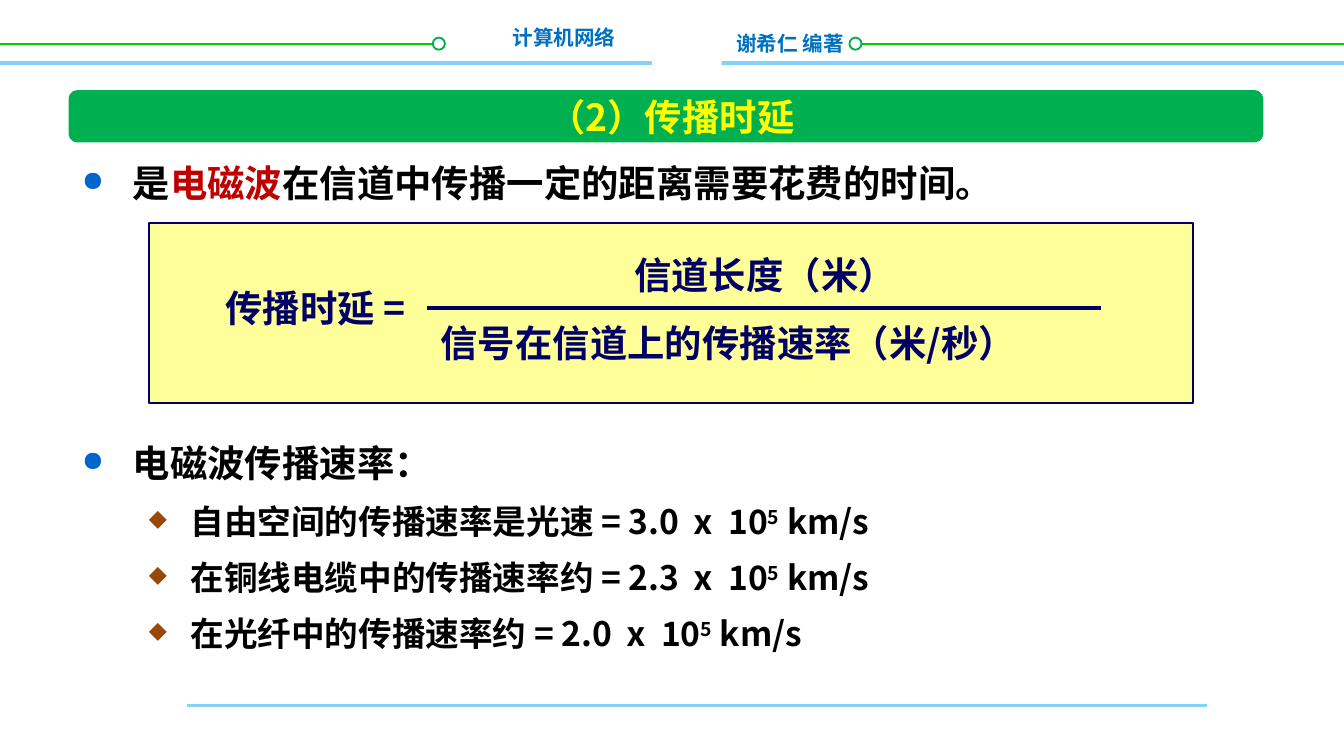
from dataclasses import dataclass

import pptx
import pptx.dml.color
import pptx.enum.shapes
import pptx.enum.text
import pptx.oxml.ns
import pptx.util
from lxml import etree

Inches, Pt = pptx.util.Inches, pptx.util.Pt
SHAPE = pptx.enum.shapes.MSO_SHAPE
ALIGN = pptx.enum.text.PP_ALIGN
ANCHOR = pptx.enum.text.MSO_ANCHOR
qn = pptx.oxml.ns.qn

FONT = "Noto Sans CJK SC"
BLACK, WHITE, NAVY, SKY = "000000", "FFFFFF", "000066", "85D1F7"
BLUE, GREEN, LIME = "0070C0", "00B050", "00CC00"
LINE_PITCH = 30
FORMULA_LINES = 4


@dataclass
class Run:
    text: str
    color: str = BLACK
    raised: bool = False


@dataclass
class Level:
    size: float
    margin: float
    hanging: float
    bullet: str
    bullet_color: str
    bullet_percent: int


@dataclass
class Bullet:
    level: Level
    runs: list[Run]
    space_before: float = 0


@dataclass
class Label:
    text: str
    box: tuple[float, float, float, float]
    size: float
    color: str
    align: ALIGN = ALIGN.LEFT
    wrap: bool = False
    anchor: ANCHOR = ANCHOR.TOP


@dataclass
class Rule:
    x1: float
    x2: float
    y: float
    color: str
    width: float


POINT = Level(20, 0.38, 0.38, "●", "0066CC", 75)
SUBPOINT = Level(18, 0.81, 0.31, "◆", "984807", 70)


def rgb(color: str) -> pptx.dml.color.RGBColor:
    return pptx.dml.color.RGBColor.from_string(color)


def style_run(r, size: float, color: str) -> None:
    r.font.size, r.font.bold, r.font.name = Pt(size), True, FONT
    r.font.color.rgb = rgb(color)
    etree.SubElement(r.font._element, qn("a:ea"), typeface=FONT)


def add_rule(s, rule: Rule) -> None:
    y = Inches(rule.y)
    line = s.shapes.add_connector(pptx.enum.shapes.MSO_CONNECTOR.STRAIGHT,
                                  Inches(rule.x1), y, Inches(rule.x2), y)
    line.line.color.rgb, line.line.width = rgb(rule.color), Pt(rule.width)
    etree.SubElement(line._element.spPr, qn("a:effectLst"))


def add_shape(s, kind, box: tuple, fill: str, outline: str | None = None):
    sp = s.shapes.add_shape(kind, *map(Inches, box))
    sp.shadow.inherit = False
    sp.fill.solid()
    sp.fill.fore_color.rgb = rgb(fill)
    if outline:
        sp.line.color.rgb, sp.line.width = rgb(outline), Pt(1)
    else:
        sp.line.fill.background()
    return sp


def add_label(s, label: Label) -> None:
    tf = s.shapes.add_textbox(*map(Inches, label.box)).text_frame
    tf.word_wrap, tf.vertical_anchor = label.wrap, label.anchor
    p = tf.paragraphs[0]
    p.text, p.alignment = label.text, label.align
    style_run(p.runs[0], label.size, label.color)


def add_bullets(s, box: tuple, bullets: list[Bullet]) -> None:
    tf = s.shapes.add_textbox(*map(Inches, box)).text_frame
    tf.word_wrap = True
    for i, bullet in enumerate(bullets):
        level = bullet.level
        p = tf.add_paragraph() if i else tf.paragraphs[0]
        p.line_spacing, p.space_before = Pt(LINE_PITCH), Pt(bullet.space_before)
        p.level = int(level is SUBPOINT)
        pPr = p._p.get_or_add_pPr()
        pPr.set("marL", str(Inches(level.margin)))
        pPr.set("indent", str(-Inches(level.hanging)))
        color = etree.SubElement(pPr, qn("a:buClr"))
        etree.SubElement(color, qn("a:srgbClr"), val=level.bullet_color)
        etree.SubElement(pPr, qn("a:buSzPct"), val=str(level.bullet_percent * 1000))
        etree.SubElement(pPr, qn("a:buChar"), char=level.bullet)
        for run in bullet.runs:
            r = p.add_run()
            r.text = run.text
            style_run(r, level.size, run.color)
            if run.raised:
                r.font._element.set("baseline", "30000")


def add_frame(s) -> None:
    """Header and footer decoration with the course name and author."""
    for x1, x2, dot_x in ((0, 3.24, 3.22), (6.32, 10, 6.32)):
        add_rule(s, Rule(x1, x2, 0.33, LIME, 1))
        add_shape(s, SHAPE.OVAL, (dot_x, 0.28, 0.09, 0.09), WHITE, GREEN)
    add_label(s, Label("谢希仁 编著", (5.38, 0.18, 1.16, 0.29), 11, BLUE, wrap=True))
    add_label(s, Label("计算机网络", (3.71, 0.14, 0.97, 0.29), 11, BLUE, ALIGN.RIGHT))
    add_rule(s, Rule(1.39, 8.98, 5.25, SKY, 1.5))
    add_rule(s, Rule(0, 10, 0.47, SKY, 2))
    add_shape(s, SHAPE.RECTANGLE, (4.85, 0.14, 0.52, 0.51), WHITE)


def add_formula(s) -> None:
    add_shape(s, SHAPE.RECTANGLE, (1.11, 1.66, 7.77, 1.34), "FFFF99", NAVY)
    for text, box, wrap in (
        ("传播时延 =", (1.58, 2.07, 1.71, 0.44), False),
        ("信道长度（米）", (4.62, 1.83, 2.17, 0.44), False),
        ("信号在信道上的传播速率（米/秒）", (3.18, 2.33, 5.39, 0.44), True),
    ):
        add_label(s, Label(text, box, 20, NAVY, wrap=wrap))
    add_rule(s, Rule(3.18, 8.19, 2.29, NAVY, 2.25))


def main() -> None:
    prs = pptx.Presentation()
    prs.slide_width = Inches(10)
    prs.slide_height = prs.slide_width * 9 // 16
    s = prs.slides.add_slide(prs.slide_layouts[6])

    add_frame(s)
    banner = add_shape(s, SHAPE.ROUNDED_RECTANGLE, (0.51, 0.67, 8.89, 0.39), GREEN)
    banner.adjustments[0] = 0.167

    speeds = (("自由空间的传播速率是光速", "3.0"),
              ("在铜线电缆中的传播速率约", "2.3"),
              ("在光纤中的传播速率约", "2.0"))
    add_bullets(s, (0.51, 1.06, 8.89, 3.71), [
        Bullet(POINT, [Run("是"), Run("电磁波", "C00000"),
                       Run("在信道中传播一定的距离需要花费的时间。")]),
        Bullet(POINT, [Run("电磁波传播速率：")], FORMULA_LINES * LINE_PITCH),
        *(Bullet(SUBPOINT, [Run(f"{medium} = {speed} ⅹ 10"), Run("5", raised=True),
                            Run(" km/s")]) for medium, speed in speeds),
    ])
    add_label(s, Label("（2）传播时延", (1.37, 0.67, 7.25, 0.39), 20, "FFFF00",
                       ALIGN.CENTER, True, ANCHOR.MIDDLE))
    add_formula(s)
    prs.save("out.pptx")


if __name__ == "__main__":
    main()
